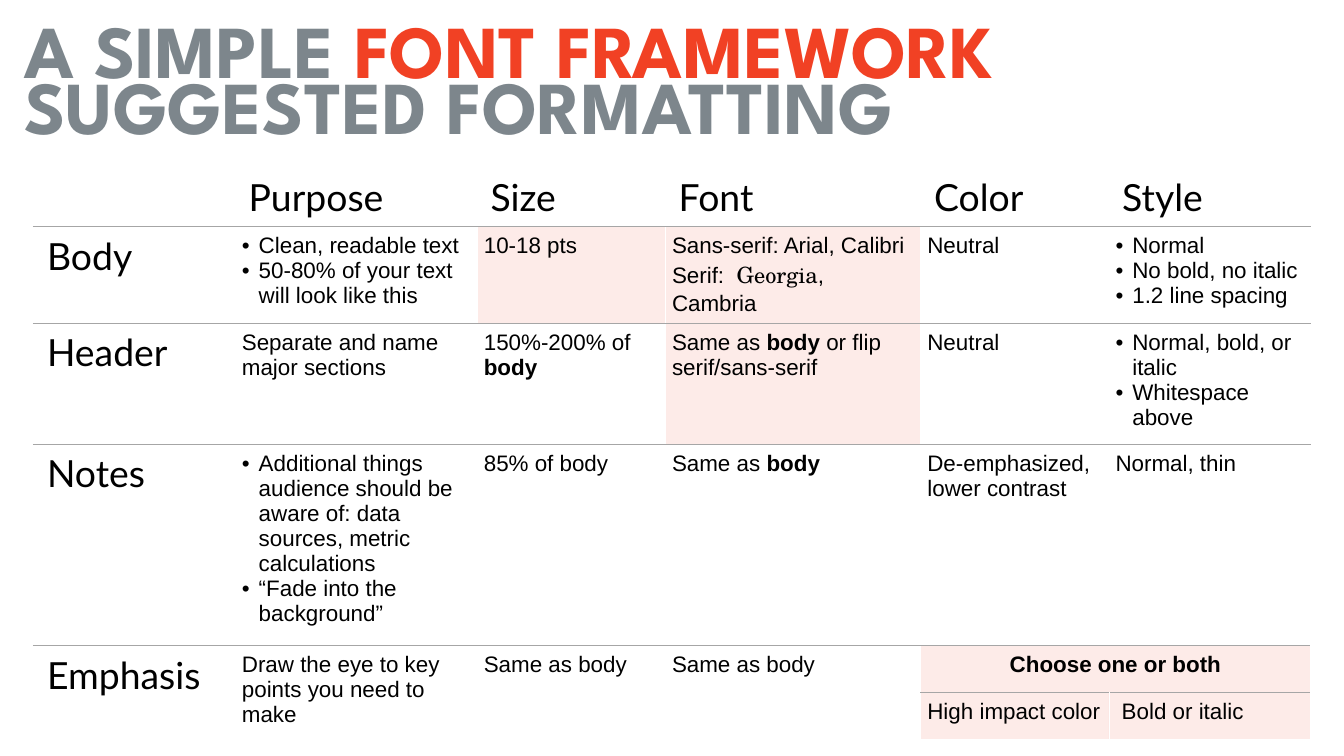
"""Build a slide with a table of suggested font formatting."""
from dataclasses import dataclass

from lxml import etree
from pptx import Presentation
from pptx.dml.color import RGBColor
from pptx.enum import text as enums
from pptx.oxml import ns
from pptx.util import Pt

COLORS = {"slate": "7D868C", "accent": "F14124", "rule": "A6A6A6", "gap": "FFFFFF", "ink": "000000"}
COLUMN_WIDTHS = (108, 129.6, 100.8, 136.8, 100.8, 108)
ROW_HEIGHTS = (31, 50.4, 64.8, 108, 25.2, 25.2)
SPLIT_ROW, SPLIT_COLUMN = 4, 4


@dataclass(frozen=True)
class Span:
    text: str
    bold: bool = False
    font: str = "Arial"
    size: float = 12
    color: str = "ink"


@dataclass(frozen=True)
class Entry:
    row: int
    column: int
    lines: tuple
    bullets: bool = False
    tinted: bool = False
    centered: bool = False


@dataclass(frozen=True)
class Title:
    left: float
    top: float
    width: float
    height: float
    spans: tuple


def heading(text: str, color: str = "slate") -> Span:
    """Return a span in the title style."""
    return Span(text, True, "League Spartan", 40, color)


BODY = Span("body", bold=True)
TITLES = (
    Title(5.8, -1.4, 696, 59.8, (heading("A SIMPLE "), heading("FONT FRAMEWORK", "accent"))),
    Title(5.8, 28.8, 714, 54.7, (heading("SUGGESTED FORMATTING"),)),
)
COLUMN_NAMES = ("Purpose", "Size", "Font", "Color", "Style")
ROW_NAMES = ("Body", "Header", "Notes", "Emphasis")
ENTRIES = (
    Entry(1, 1, ("Clean, readable text", "50-80% of your text will look like this"), bullets=True),
    Entry(1, 2, ("10-18 pts",), tinted=True),
    Entry(1, 3, ("Sans-serif: Arial, Calibri",
                 (Span("Serif:  "), Span("Georgia", font="TeX Gyre Schola"), Span(", Cambria"))), tinted=True),
    Entry(1, 4, ("Neutral",)),
    Entry(1, 5, ("Normal", "No bold, no italic", "1.2 line spacing"), bullets=True),
    Entry(2, 1, ("Separate and name major sections",)),
    Entry(2, 2, ((Span("150%-200% of "), BODY),)),
    Entry(2, 3, ((Span("Same as "), BODY, Span(" or flip serif/sans-serif")),), tinted=True),
    Entry(2, 4, ("Neutral",)),
    Entry(2, 5, ("Normal, bold, or italic", "Whitespace above"), bullets=True),
    Entry(3, 1, ("Additional things audience should be aware of: data sources, metric calculations",
                 "“Fade into the background”"), bullets=True),
    Entry(3, 2, ("85% of body",)),
    Entry(3, 3, ((Span("Same as "), BODY),)),
    Entry(3, 4, ("De-emphasized, lower contrast",)),
    Entry(3, 5, ("Normal, thin",)),
    Entry(4, 1, ("Draw the eye to key points you need to make",)),
    Entry(4, 2, ("Same as body",)),
    Entry(4, 3, ("Same as body",)),
    Entry(4, 4, ((Span("Choose one or both", bold=True),),), tinted=True, centered=True),
    Entry(5, 4, ("High impact color",), tinted=True),
    Entry(5, 5, (" Bold or italic",), tinted=True),
)


def add_span(para, text: str, *, font: str, size: float, color: str, bold: bool = False) -> None:
    """Append formatted text to a paragraph."""
    span = para.add_run()
    span.text = text
    span.font.name, span.font.size, span.font.bold = font, Pt(size), bold
    span.font.color.rgb = RGBColor.from_string(COLORS[color])


def write_spans(para, spans: tuple) -> None:
    """Write a sequence of spans into a paragraph."""
    for span in spans:
        add_span(para, span.text, font=span.font, size=span.size, color=span.color, bold=span.bold)


def add_bullet(para) -> None:
    """Give a paragraph a hanging bullet."""
    properties = para._p.get_or_add_pPr()
    properties.set("marL", str(Pt(9)))
    properties.set("indent", str(-Pt(9)))
    etree.SubElement(properties, ns.qn("a:buFont"), typeface="Arial")
    etree.SubElement(properties, ns.qn("a:buChar"), char="•")


def add_border(cell, side: str, width: float, color: str) -> None:
    """Draw one side of a cell."""
    line = etree.SubElement(cell._tc.get_or_add_tcPr(), ns.qn(f"a:ln{side}"), w=str(Pt(width)))
    fill = etree.SubElement(line, ns.qn("a:solidFill"))
    etree.SubElement(fill, ns.qn("a:srgbClr"), val=COLORS[color])


def frame_cell(cell, row: int, column: int) -> None:
    """Draw the inner rules of the table around a cell and clear its fill."""
    if column > 0:
        add_border(cell, "L", 0.25, "gap")
    if column < len(COLUMN_WIDTHS) - 1:
        add_border(cell, "R", 0.25, "gap")
    if row > 0:
        add_border(cell, "T", 0.5, "rule")
    if row < SPLIT_ROW or (row == SPLIT_ROW and column >= SPLIT_COLUMN):
        add_border(cell, "B", 0.5, "rule")
    cell.fill.background()


def tint_cell(cell) -> None:
    """Fill a cell with the accent colour at ten percent."""
    cell.fill.solid()
    cell.fill.fore_color.rgb = RGBColor.from_string(COLORS["accent"])
    color = cell._tc.tcPr.find(ns.qn("a:solidFill")).find(ns.qn("a:srgbClr"))
    etree.SubElement(color, ns.qn("a:alpha"), val="10000")


def fill_entry(cell, entry: Entry) -> None:
    """Write an entry into its cell."""
    cell.margin_left = cell.margin_right = cell.margin_top = cell.margin_bottom = Pt(3.6)
    for index, line in enumerate(entry.lines):
        para = cell.text_frame.add_paragraph() if index else cell.text_frame.paragraphs[0]
        if entry.bullets:
            add_bullet(para)
        if entry.centered:
            para.alignment = enums.PP_ALIGN.CENTER
        write_spans(para, (Span(line),) if isinstance(line, str) else line)
    if entry.tinted:
        tint_cell(cell)


def add_framework(page) -> None:
    """Add the formatting table."""
    table = page.shapes.add_table(len(ROW_HEIGHTS), len(COLUMN_WIDTHS), Pt(18), Pt(90),
                                  Pt(sum(COLUMN_WIDTHS)), Pt(sum(ROW_HEIGHTS))).table
    table.first_row = table.horz_banding = False
    for column, width in zip(table.columns, COLUMN_WIDTHS):
        column.width = Pt(width)
    for row, height in zip(table.rows, ROW_HEIGHTS):
        row.height = Pt(height)
    for column in range(SPLIT_COLUMN):
        table.cell(SPLIT_ROW, column).merge(table.cell(SPLIT_ROW + 1, column))
    table.cell(SPLIT_ROW, SPLIT_COLUMN).merge(table.cell(SPLIT_ROW, SPLIT_COLUMN + 1))
    for row in range(len(ROW_HEIGHTS)):
        for column in range(len(COLUMN_WIDTHS)):
            cell = table.cell(row, column)
            if not cell.is_spanned:
                frame_cell(cell, row, column)
    labels = [(0, column, name) for column, name in enumerate(COLUMN_NAMES, 1)]
    labels += [(row, 0, name) for row, name in enumerate(ROW_NAMES, 1)]
    for row, column, name in labels:
        para = table.cell(row, column).text_frame.paragraphs[0]
        add_span(para, name, font="Lato", size=20, color="ink")
    for entry in ENTRIES:
        fill_entry(table.cell(entry.row, entry.column), entry)


def add_title(page, title: Title) -> None:
    """Add one line of the title."""
    box = page.shapes.add_textbox(Pt(title.left), Pt(title.top), Pt(title.width), Pt(title.height))
    box.text_frame.word_wrap = True
    write_spans(box.text_frame.paragraphs[0], title.spans)


def main() -> None:
    """Build and save the deck."""
    deck = Presentation()
    deck.slide_width, deck.slide_height = Pt(720), Pt(405)
    page = deck.slides.add_slide(deck.slide_layouts[6])
    add_framework(page)
    for title in TITLES:
        add_title(page, title)
    deck.save("out.pptx")


if __name__ == "__main__":
    main()
